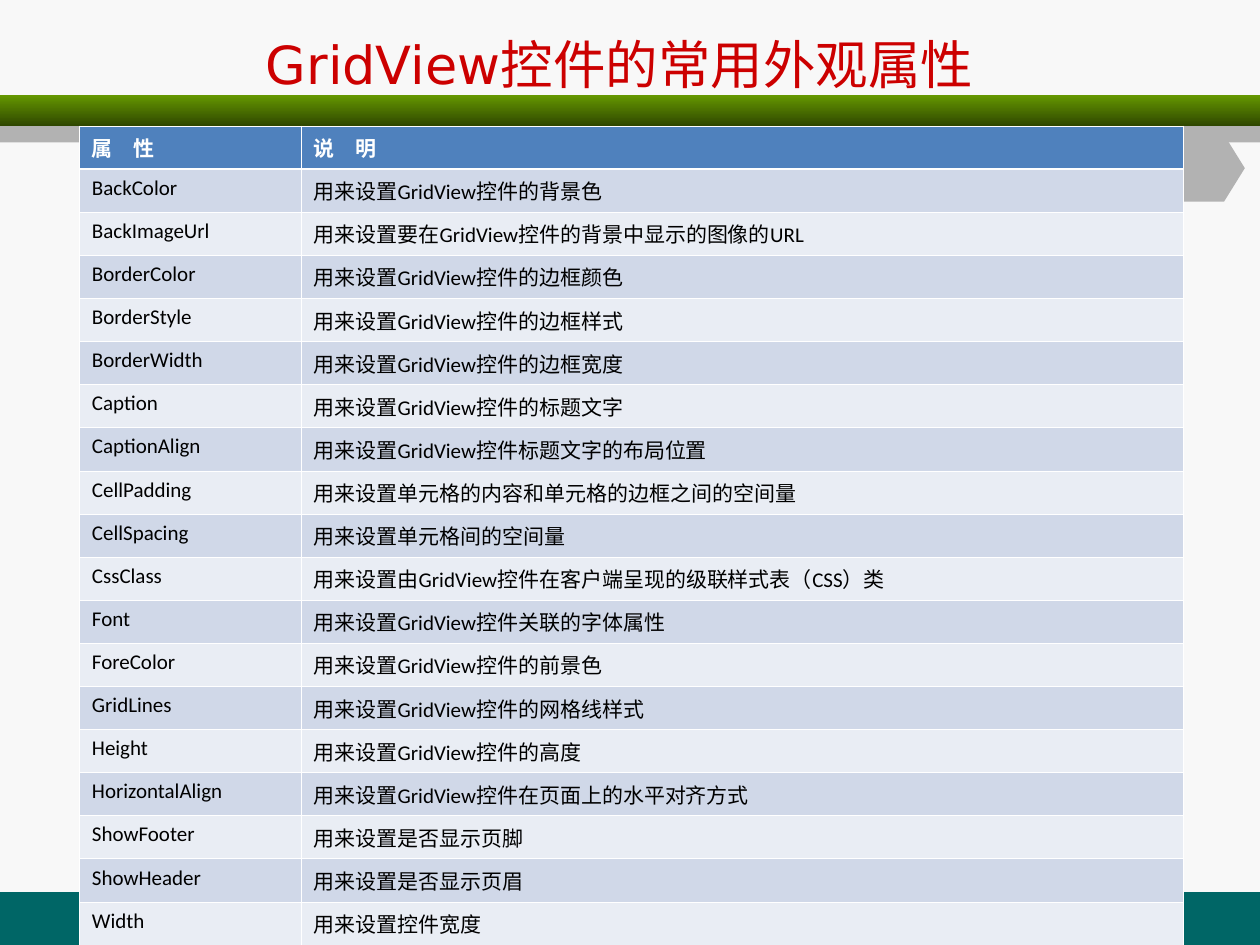
"""Build the slide listing the common appearance properties of GridView."""
from lxml import etree
from pptx import Presentation
from pptx.dml.color import RGBColor
from pptx.enum.shapes import MSO_SHAPE
from pptx.enum.text import MSO_ANCHOR, MSO_AUTO_SIZE, PP_ALIGN
from pptx.oxml.ns import qn
from pptx.util import Inches, Pt

RECTANGLE, CHEVRON = MSO_SHAPE.RECTANGLE, MSO_SHAPE.CHEVRON
MIDDLE, LEFT, NO_AUTOFIT = MSO_ANCHOR.MIDDLE, PP_ALIGN.LEFT, MSO_AUTO_SIZE.NONE

TITLE = "GridView控件的常用外观属性"
HEADER = ("属　性", "说　明")
PROPERTIES = [
    ("BackColor", "用来设置GridView控件的背景色"),
    ("BackImageUrl", "用来设置要在GridView控件的背景中显示的图像的URL"),
    ("BorderColor", "用来设置GridView控件的边框颜色"),
    ("BorderStyle", "用来设置GridView控件的边框样式"),
    ("BorderWidth", "用来设置GridView控件的边框宽度"),
    ("Caption", "用来设置GridView控件的标题文字"),
    ("CaptionAlign", "用来设置GridView控件标题文字的布局位置"),
    ("CellPadding", "用来设置单元格的内容和单元格的边框之间的空间量"),
    ("CellSpacing", "用来设置单元格间的空间量"),
    ("CssClass", "用来设置由GridView控件在客户端呈现的级联样式表（CSS）类"),
    ("Font", "用来设置GridView控件关联的字体属性"),
    ("ForeColor", "用来设置GridView控件的前景色"),
    ("GridLines", "用来设置GridView控件的网格线样式"),
    ("Height", "用来设置GridView控件的高度"),
    ("HorizontalAlign", "用来设置GridView控件在页面上的水平对齐方式"),
    ("ShowFooter", "用来设置是否显示页脚"),
    ("ShowHeader", "用来设置是否显示页眉"),
    ("Width", "用来设置控件宽度"),
]

BACKGROUND, GRID_COLOR = "F8F8F8", "FFFFFF"
BAND_GRADIENT = ("669900", "2F4700")
HEADER_FILL, ROW_FILLS = "4F81BD", ("D0D8E8", "E9EDF4")
TITLE_FONT = {"name": "DejaVu Sans", "size": Pt(30), "bold": False}
CELL_FONT = {"name": "Calibri", "size": Pt(12)}
DECORATIONS = [
    (RECTANGLE, (0, 7.08, 10, 0.42), "006666"),
    (RECTANGLE, (0, 1, 10, 0.13), "B2B2B2"),
    (CHEVRON, (9.21, 1.07, 0.67, 0.53), "B2B2B2"),
]
BAND_BOX = (0, 0.75, 10, 0.25)
TITLE_BOX = (2.01, 0.17, 6.22, 0.67)
TABLE_LEFT, TABLE_TOP = 0.63, 1
COLUMN_WIDTHS, ROW_HEIGHT = (1.76, 7), 0.3
THIN, THICK = 0.45, 1.47


def inches(values):
    return [Inches(value) for value in values]


def paint(color_format, color):
    color_format.rgb = RGBColor.from_string(color)


def fill_solid(fill, color):
    fill.solid()
    paint(fill.fore_color, color)


def format_font(font, values, color):
    for attribute, value in values.items():
        setattr(font, attribute, value)
    paint(font.color, color)


def add_plain_shape(slide, kind, box):
    shape = slide.shapes.add_shape(kind, *inches(box))
    shape.shadow.inherit = False
    shape.line.fill.background()
    return shape


def add_decorations(slide):
    for kind, box, color in DECORATIONS:
        shape = add_plain_shape(slide, kind, box)
        fill_solid(shape.fill, color)
        if kind == CHEVRON:
            shape.adjustments[0] = 0.31
    band = add_plain_shape(slide, RECTANGLE, BAND_BOX)
    band.fill.gradient()
    band.fill.gradient_angle = 270
    for stop, position, color in zip(band.fill.gradient_stops, (0, 1), BAND_GRADIENT):
        stop.position = position
        paint(stop.color, color)


def set_title(title):
    title.left, title.top, title.width, title.height = inches(TITLE_BOX)
    frame = title.text_frame
    frame.text = TITLE
    frame.auto_size = NO_AUTOFIT
    frame.vertical_anchor = MIDDLE
    paragraph = frame.paragraphs[0]
    paragraph.alignment = LEFT
    format_font(paragraph.runs[0].font, TITLE_FONT, "CC0000")


def add_borders(cell, widths):
    properties = cell._tc.get_or_add_tcPr()
    for index, (side, width) in enumerate(widths.items()):
        line = etree.Element(qn(f"a:ln{side}"), w=str(int(Pt(width))))
        solid = etree.SubElement(line, qn("a:solidFill"))
        etree.SubElement(solid, qn("a:srgbClr"), val=GRID_COLOR)
        properties.insert(index, line)


def add_property_table(slide):
    rows = [HEADER, *PROPERTIES]
    box = (TABLE_LEFT, TABLE_TOP, sum(COLUMN_WIDTHS), ROW_HEIGHT * len(rows))
    table = slide.shapes.add_table(len(rows), len(HEADER), *inches(box)).table
    for column, width in zip(table.columns, COLUMN_WIDTHS):
        column.width = Inches(width)
    for row_index, texts in enumerate(rows):
        table.rows[row_index].height = Inches(ROW_HEIGHT)
        is_header = row_index == 0
        row_fill = HEADER_FILL if is_header else ROW_FILLS[(row_index - 1) % 2]
        text_color = "FFFFFF" if is_header else "000000"
        widths = {"L": THIN, "R": THIN,
                  "T": THICK if row_index == 1 else THIN,
                  "B": THICK if is_header else THIN}
        for column_index, text in enumerate(texts):
            cell = table.cell(row_index, column_index)
            cell.text = text
            fill_solid(cell.fill, row_fill)
            add_borders(cell, widths)
            font = cell.text_frame.paragraphs[0].runs[0].font
            format_font(font, {**CELL_FONT, "bold": is_header}, text_color)


def main():
    presentation = Presentation()
    presentation.slide_width, presentation.slide_height = inches((10, 7.5))
    slide = presentation.slides.add_slide(presentation.slide_layouts[5])
    fill_solid(slide.background.fill, BACKGROUND)
    add_decorations(slide)
    set_title(slide.shapes.title)
    add_property_table(slide)
    presentation.save("out.pptx")


if __name__ == "__main__":
    main()
